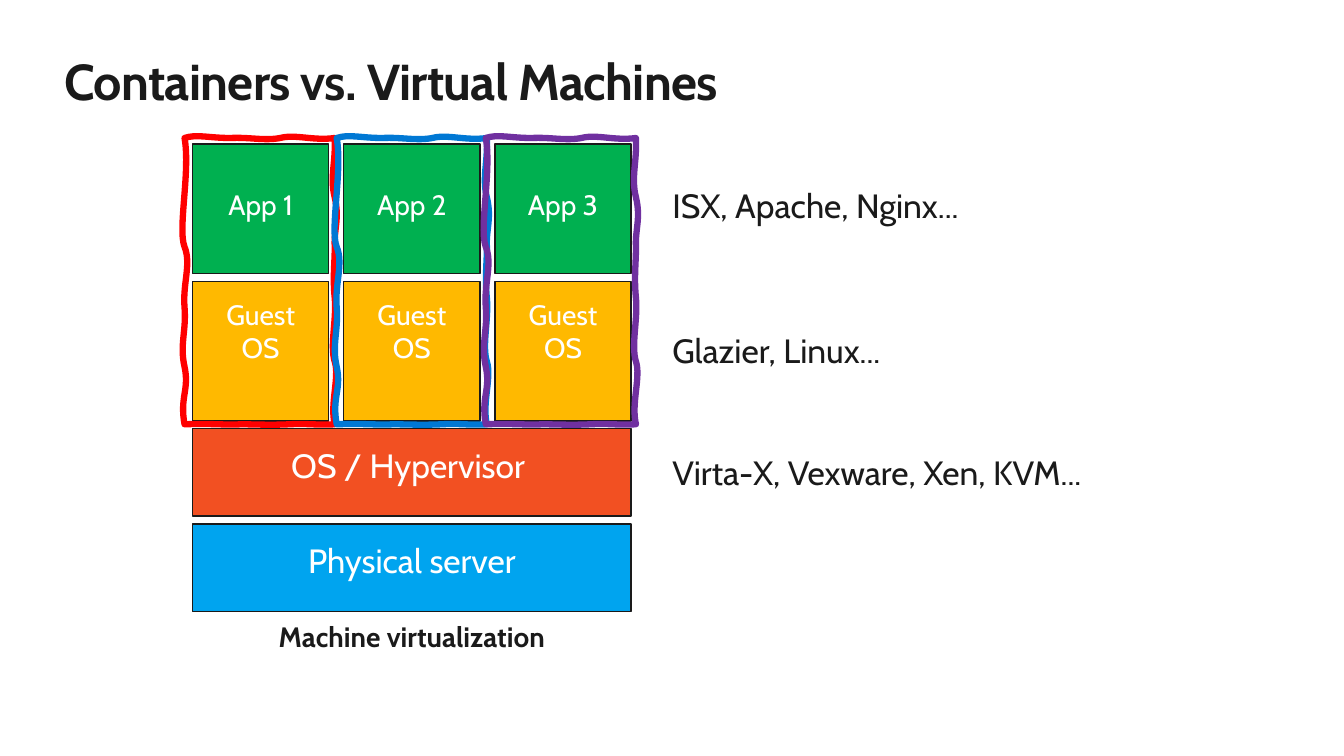
from dataclasses import dataclass

import lxml.etree
import pptx
import pptx.dml.color
import pptx.enum.shapes
import pptx.enum.text
import pptx.oxml.ns
import pptx.util

RGBColor = pptx.dml.color.RGBColor
Pt = pptx.util.Pt
Align = pptx.enum.text.PP_ALIGN
qn = pptx.oxml.ns.qn

INK = RGBColor(0x1A, 0x1A, 0x1A)
WHITE = RGBColor(0xFF, 0xFF, 0xFF)
GREEN = RGBColor(0x00, 0xB0, 0x50)
YELLOW = RGBColor(0xFF, 0xB9, 0x00)
ORANGE = RGBColor(0xF2, 0x50, 0x22)
SKY = RGBColor(0x00, 0xA4, 0xEF)
RED = RGBColor(0xFF, 0x00, 0x00)
BLUE = RGBColor(0x00, 0x78, 0xD4)
PURPLE = RGBColor(0x70, 0x30, 0xA0)

STACK_LEFT = 137.5
STACK_WIDTH = 313.4
COLUMN_WIDTH = 97.4
COLUMN_LEFTS = [STACK_LEFT + 108 * i for i in range(3)]
OUTLINE_TOP = 98.6

WOBBLY_CURVES = [
    ((8.6, -2.9), (17.3, 0), (32.4, 0)),
    ((47.5, -0.7), (56.9, 2.2), (68.4, 0)),
    ((79.2, -2.9), (92.2, 2.2), (107.3, 0)),
    ((108, 18), (103.7, 28.1), (107.3, 42.5)),
    ((110.9, 57.6), (106.6, 65.5), (107.3, 77.8)),
    ((107.3, 90), (105.8, 99.4), (107.3, 114.5)),
    ((108.7, 129.6), (103.7, 148.3), (107.3, 159.8)),
    ((110.9, 170.6), (103.7, 190.1), (107.3, 204.5)),
    ((92.2, 205.2), (88.6, 203.8), (74.9, 204.5)),
    ((60.5, 205.2), (49.7, 204.5), (40.3, 204.5)),
    ((30.2, 205.2), (19.4, 203.8), (0, 204.5)),
    ((-3.6, 185), (3.6, 180), (0, 163.4)),
    ((-3.6, 147.6), (1.4, 137.5), (0, 121)),
    ((-1.4, 103.7), (5, 90), (0, 77.8)),
    ((-5, 64.8), (4.3, 23.8), (0, 0)),
]


@dataclass
class Box:
    text: str
    left: float
    top: float
    width: float
    height: float
    fill: RGBColor
    size: float
    inset_top: float = 11.5


@dataclass
class Label:
    text: str
    left: float
    top: float
    width: float
    height: float
    size: float = 24
    bold: bool = False
    align: Align = Align.LEFT
    spacing: int = 0


@dataclass
class Outline:
    left: float
    color: RGBColor


def write_text(tf, text: str, size: float, color: RGBColor,
               align: Align, bold: bool = False) -> None:
    tf.word_wrap = True
    tf.vertical_anchor = pptx.enum.text.MSO_ANCHOR.TOP
    p = tf.paragraphs[0]
    p.text = text
    p.alignment = align
    r = p.runs[0]
    r.font.name = "Cabin"
    r.font.size = Pt(size)
    r.font.bold = bold
    r.font.color.rgb = color


def draw_box(s, box: Box) -> None:
    sp = s.shapes.add_shape(
        pptx.enum.shapes.MSO_SHAPE.RECTANGLE,
        Pt(box.left), Pt(box.top), Pt(box.width), Pt(box.height))
    sp.shadow.inherit = False
    sp.fill.solid()
    sp.fill.fore_color.rgb = box.fill
    sp.line.color.rgb = INK
    sp.line.width = Pt(1)
    tf = sp.text_frame
    tf.margin_left = tf.margin_right = Pt(14.4)
    tf.margin_top = Pt(box.inset_top)
    tf.margin_bottom = Pt(11.5)
    write_text(tf, box.text, box.size, WHITE, Align.CENTER)


def draw_label(s, label: Label) -> None:
    sp = s.shapes.add_textbox(
        Pt(label.left), Pt(label.top), Pt(label.width), Pt(label.height))
    tf = sp.text_frame
    tf.margin_left = tf.margin_right = tf.margin_top = tf.margin_bottom = 0
    write_text(tf, label.text, label.size, INK, label.align, label.bold)
    if label.spacing:
        r = tf.paragraphs[0].runs[0]
        r._r.get_or_add_rPr().set("spc", str(label.spacing))


def draw_outline(s, outline: Outline) -> None:
    builder = s.shapes.build_freeform(Pt(outline.left), Pt(OUTLINE_TOP))
    builder.add_line_segments(
        [(Pt(outline.left + x), Pt(OUTLINE_TOP + y))
         for _, _, (x, y) in WOBBLY_CURVES], close=True)
    sp = builder.convert_to_shape()
    segments = list(sp._element.iter(qn("a:lnTo")))
    for segment, curve in zip(segments, WOBBLY_CURVES):
        bezier = lxml.etree.Element(qn("a:cubicBezTo"))
        for x, y in curve:
            lxml.etree.SubElement(bezier, qn("a:pt"),
                                  x=str(int(Pt(x))), y=str(int(Pt(y))))
        segment.getparent().replace(segment, bezier)
    sp.shadow.inherit = False
    sp.fill.background()
    sp.line.color.rgb = outline.color
    sp.line.width = Pt(4.5)


def main() -> None:
    prs = pptx.Presentation()
    prs.slide_width = Pt(960)
    prs.slide_height = Pt(540)
    s = prs.slides.add_slide(prs.slide_layouts[6])

    title = Label("Containers vs. Virtual Machines", 46, 36, 867.6, 44,
                  size=36, bold=True, spacing=-50)
    boxes = [
        Box("Physical server", STACK_LEFT, 374.4, STACK_WIDTH, 62.6, SKY, 24),
        Box("OS / Hypervisor ", STACK_LEFT, 306, STACK_WIDTH, 62.6, ORANGE, 24),
    ]
    boxes += [Box("Guest OS", left, 200.9, COLUMN_WIDTH, 99.8, YELLOW, 20)
              for left in COLUMN_LEFTS]
    boxes += [Box(f"App {i}", left, 102.8, COLUMN_WIDTH, 92.6, GREEN, 20, 31)
              for i, left in enumerate(COLUMN_LEFTS, 1)]
    labels = [
        Label("Machine virtualization", STACK_LEFT, 442.8, STACK_WIDTH, 24.5,
              size=20, bold=True, align=Align.CENTER),
        Label("Virta-X, Vexware, Xen, KVM...", 480.2, 323, 404.6, 28.8),
        Label("Glazier, Linux...", 480.2, 235.4, 404.6, 28.8),
        Label("ISX, Apache, Nginx...", 480.2, 131.8, 404.6, 28.8),
    ]
    outlines = [Outline(131.8, RED), Outline(240.5, BLUE), Outline(347, PURPLE)]

    draw_label(s, title)
    for box in boxes:
        draw_box(s, box)
    for label in labels:
        draw_label(s, label)
    for outline in outlines:
        draw_outline(s, outline)

    prs.save("out.pptx")


if __name__ == "__main__":
    main()
